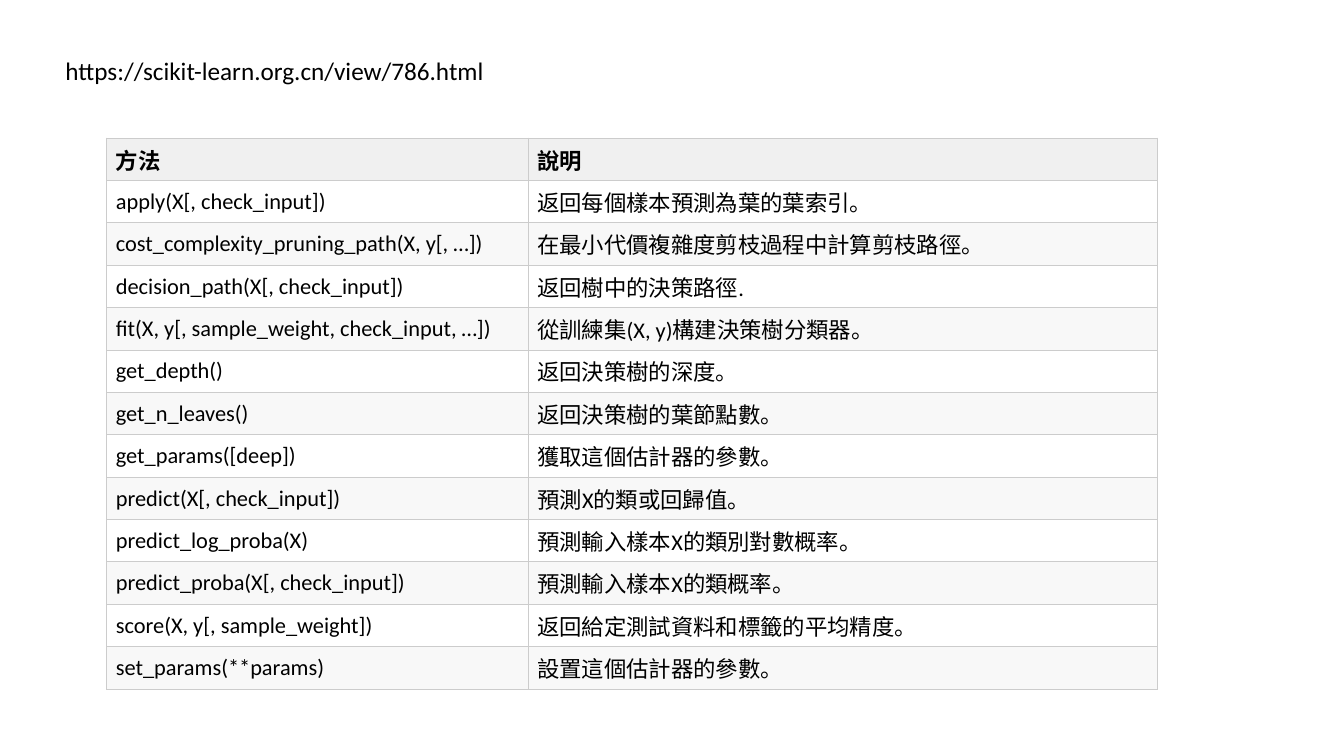
import dataclasses

import lxml.etree
import pptx
import pptx.dml.color
import pptx.enum.text
import pptx.oxml.ns
import pptx.util

Inches = pptx.util.Inches
COLORS = {
    "text": "000000",
    "border": "CCCCCC",
    "header": "F0F0F0",
    "odd": "FFFFFF",
    "even": "F8F8F8",
}
CELL_FORMAT = {
    "vertical_anchor": pptx.enum.text.MSO_ANCHOR.MIDDLE,
    "margin_left": Inches(0.09),
    "margin_right": Inches(0.09),
    "margin_top": Inches(0.05),
    "margin_bottom": Inches(0.05),
}
COLUMN_WIDTHS = (4.18, 6.24)
ROW_HEIGHT = 0.37


@dataclasses.dataclass(frozen=True)
class Method:
    signature: str
    description: str


HEADER = Method("方法", "說明")
METHODS = [
    Method("apply(X[, check_input])", "返回每個樣本預測為葉的葉索引。"),
    Method("cost_complexity_pruning_path(X, y[, …])", "在最小代價複雜度剪枝過程中計算剪枝路徑。"),
    Method("decision_path(X[, check_input])", "返回樹中的決策路徑."),
    Method("fit(X, y[, sample_weight, check_input, …])", "從訓練集(X, y)構建決策樹分類器。"),
    Method("get_depth()", "返回決策樹的深度。"),
    Method("get_n_leaves()", "返回決策樹的葉節點數。"),
    Method("get_params([deep])", "獲取這個估計器的參數。"),
    Method("predict(X[, check_input])", "預測X的類或回歸值。"),
    Method("predict_log_proba(X)", "預測輸入樣本X的類別對數概率。"),
    Method("predict_proba(X[, check_input])", "預測輸入樣本X的類概率。"),
    Method("score(X, y[, sample_weight])", "返回給定測試資料和標籤的平均精度。"),
    Method("set_params(**params)", "設置這個估計器的參數。"),
]


def rgb(name: str) -> pptx.dml.color.RGBColor:
    return pptx.dml.color.RGBColor.from_string(COLORS[name])


def set_attributes(target, values: dict) -> None:
    for name, value in values.items():
        setattr(target, name, value)


def write_text(tf, text: str, size: int, bold: bool = False) -> None:
    r = tf.paragraphs[0].add_run()
    r.text = text
    set_attributes(r.font, {"name": "Calibri", "size": pptx.util.Pt(size), "bold": bold})
    r.font.color.rgb = rgb("text")


def add_borders(cell) -> None:
    qn = pptx.oxml.ns.qn
    tc_pr = cell._tc.get_or_add_tcPr()
    for i, side in enumerate(("a:lnL", "a:lnR", "a:lnT", "a:lnB")):
        ln = lxml.etree.Element(qn(side), w=str(pptx.util.Pt(0.75)))
        fill = lxml.etree.SubElement(ln, qn("a:solidFill"))
        lxml.etree.SubElement(fill, qn("a:srgbClr"), val=COLORS["border"])
        tc_pr.insert(i, ln)


def fill_cell(cell, text: str, fill: str, bold: bool) -> None:
    set_attributes(cell, CELL_FORMAT)
    cell.fill.solid()
    cell.fill.fore_color.rgb = rgb(fill)
    add_borders(cell)
    write_text(cell.text_frame, text, 16, bold)


def add_method_table(s, rows: list[Method]) -> None:
    table = s.shapes.add_table(
        len(rows), len(COLUMN_WIDTHS), Inches(1.06), Inches(1.37),
        Inches(sum(COLUMN_WIDTHS)), Inches(ROW_HEIGHT * len(rows)),
    ).table
    for column, width in zip(table.columns, COLUMN_WIDTHS):
        column.width = Inches(width)
    for i, method in enumerate(rows):
        table.rows[i].height = Inches(ROW_HEIGHT)
        fill = "header" if i == 0 else "odd" if i % 2 else "even"
        for j, text in enumerate(dataclasses.astuple(method)):
            fill_cell(table.cell(i, j), text, fill, bold=i == 0)


def add_address(s, text: str) -> None:
    sp = s.shapes.add_textbox(Inches(0.55), Inches(0.5), Inches(4.41), Inches(0.4))
    tf = sp.text_frame
    set_attributes(tf, {
        "word_wrap": False,
        "auto_size": pptx.enum.text.MSO_AUTO_SIZE.SHAPE_TO_FIT_TEXT,
    })
    write_text(tf, text, 18)


def main() -> None:
    prs = pptx.Presentation()
    set_attributes(prs, {"slide_width": Inches(13.33), "slide_height": Inches(7.5)})
    s = prs.slides.add_slide(prs.slide_layouts[6])
    add_method_table(s, [HEADER, *METHODS])
    add_address(s, "https://scikit-learn.org.cn/view/786.html")
    prs.save("out.pptx")


if __name__ == "__main__":
    main()
